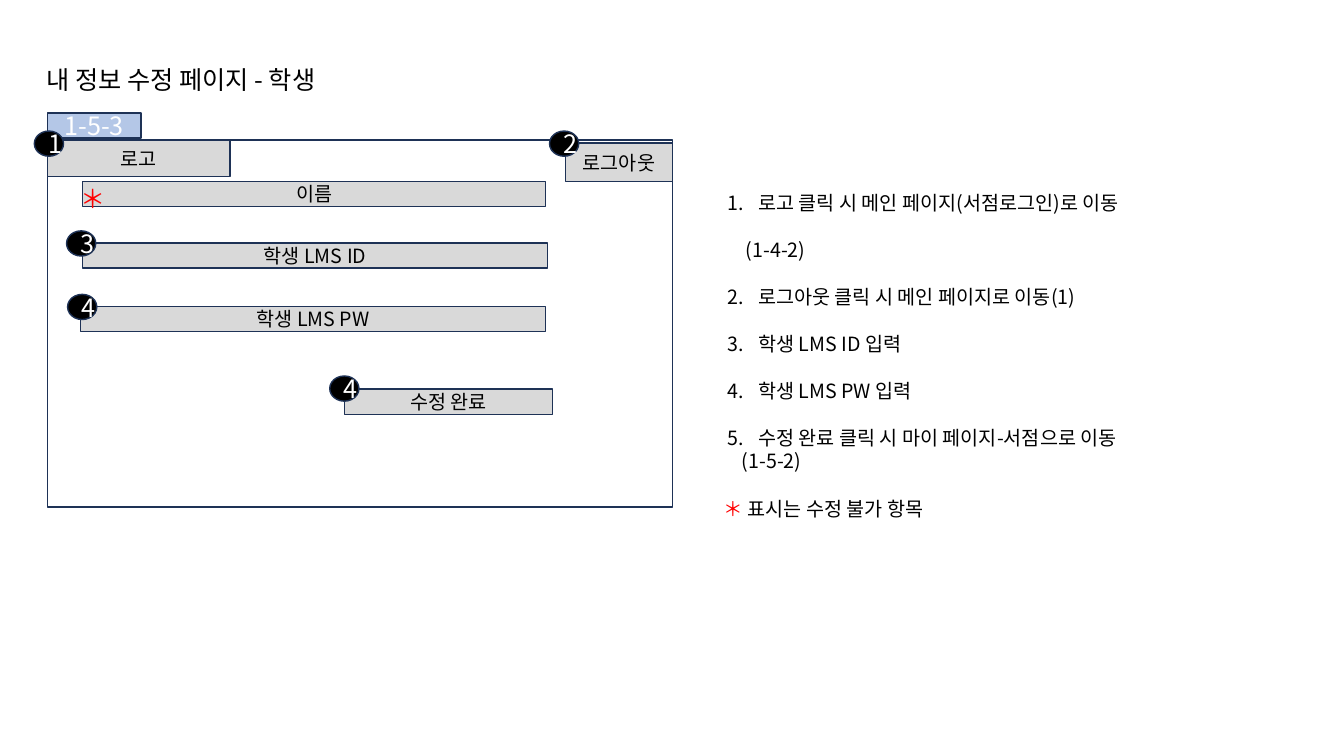
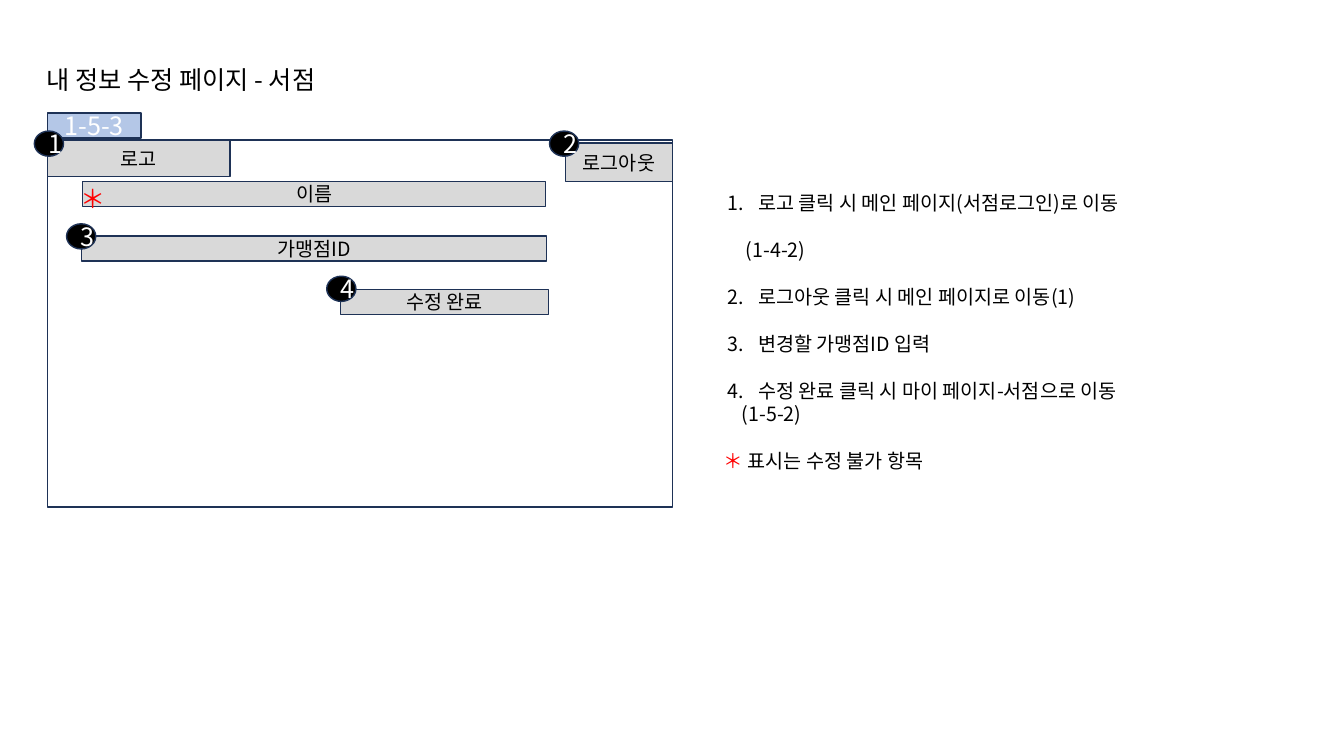
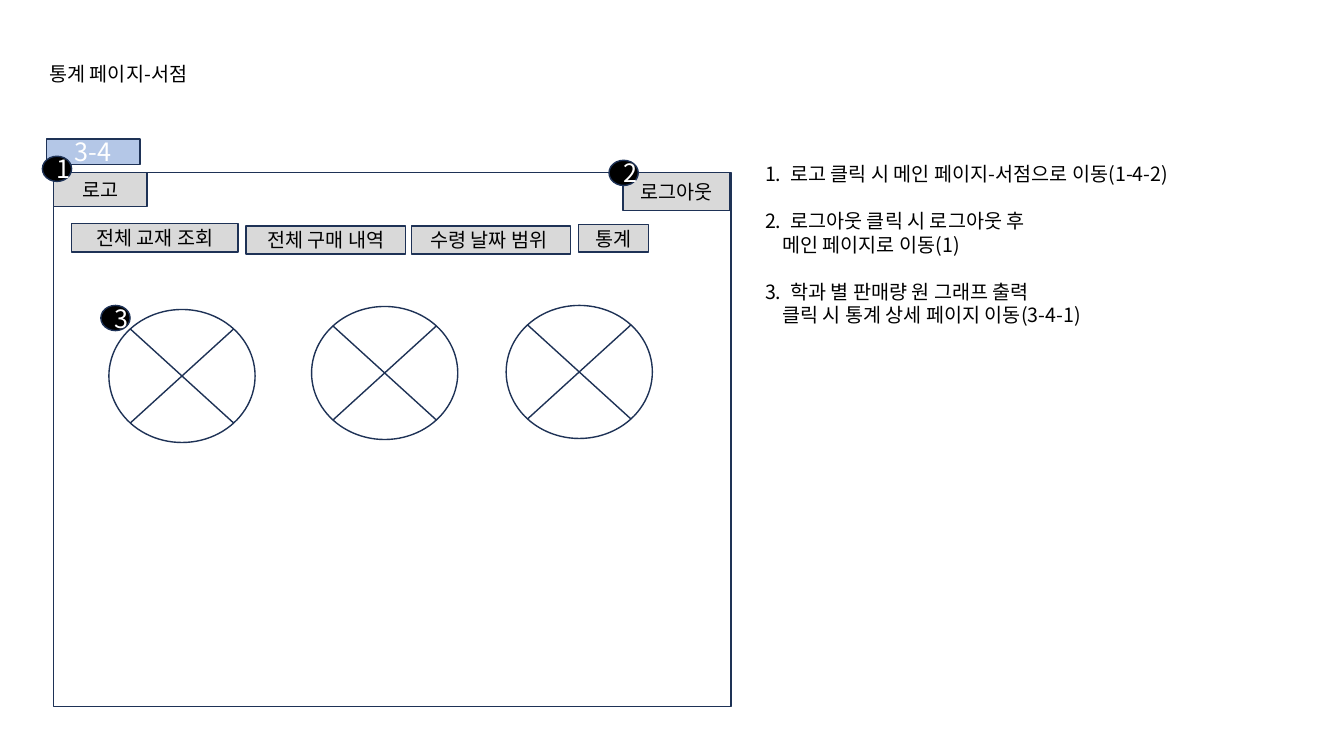
from dataclasses import dataclass

from pptx import Presentation
from pptx.dml.color import RGBColor
from pptx.enum.shapes import MSO_SHAPE
from pptx.enum.text import MSO_ANCHOR, MSO_AUTO_SIZE, PP_ALIGN
from pptx.util import Inches, Pt

RECT, OVAL = MSO_SHAPE.RECTANGLE, MSO_SHAPE.OVAL
PIE = MSO_SHAPE.FLOWCHART_SUMMING_JUNCTION
TOP, MIDDLE = MSO_ANCHOR.TOP, MSO_ANCHOR.MIDDLE
LEFT, CENTER = PP_ALIGN.LEFT, PP_ALIGN.CENTER
NO_FIT = MSO_AUTO_SIZE.NONE

# Shared look
FONT = "Noto Sans CJK KR"
BLACK, WHITE, RED = "000000", "FFFFFF", "FF0000"
NAVY, GRAY, TAB_BLUE = "1E3256", "D9D9D9", "B4C7E7"
BODY, LARGE = 14, 18
LEADING = 1.2
BADGE_SIZE = (0.29, 0.25)
MARK = "＊"


@dataclass
class Area:
    x: float
    y: float
    w: float
    h: float


@dataclass
class Box:
    text: str
    area: Area
    badge: str = ""
    shift: tuple[float, float] = (-0.15, -0.12)
    kind: MSO_SHAPE = RECT
    fill: str = GRAY


@dataclass
class Step:
    text: str
    margin: float
    hang: float = 0
    gap: bool = True
    mark: str = ""


@dataclass
class Page:
    title: str
    title_area: Area
    title_size: int
    frame: Area
    tab: Box
    boxes: list[Box]
    steps: list[Step]
    guide_area: Area
    guide_top: float = 0.05
    starred: bool = False


def rgb(color: str) -> RGBColor:
    return RGBColor.from_string(color)


def inches(area: Area) -> tuple:
    return Inches(area.x), Inches(area.y), Inches(area.w), Inches(area.h)


def add_run(p, text: str, size: float, color: str) -> None:
    r = p.add_run()
    r.text = text
    for name, value in {"name": FONT, "size": Pt(size), "bold": False}.items():
        setattr(r.font, name, value)
    r.font.color.rgb = rgb(color)
    # East Asian text takes the same font
    rPr = r._r.get_or_add_rPr()
    ea = rPr.makeelement(
        "{http://schemas.openxmlformats.org/drawingml/2006/main}ea", {"typeface": FONT})
    rPr.find("{*}latin").addnext(ea)


def format_paragraph(p, size: float, align=LEFT, before: float = 0) -> None:
    values = {"alignment": align, "line_spacing": Pt(size * LEADING),
              "space_before": Pt(before), "space_after": Pt(0)}
    for name, value in values.items():
        setattr(p, name, value)


def format_frame(tf, wrap: bool = True, anchor=TOP, top: float = 0.05) -> None:
    values = {"word_wrap": wrap, "vertical_anchor": anchor,
              "auto_size": NO_FIT, "margin_top": Inches(top)}
    for name, value in values.items():
        setattr(tf, name, value)


def write_line(tf, text: str, size: float, color: str, align=LEFT) -> None:
    p = tf.paragraphs[0]
    format_paragraph(p, size, align)
    add_run(p, text, size, color)


def add_box(s, kind, area: Area, fill: str, text: str = "",
            size: float = BODY, color: str = BLACK) -> None:
    sp = s.shapes.add_shape(kind, *inches(area))
    sp.shadow.inherit = False
    sp.fill.solid()
    sp.fill.fore_color.rgb = rgb(fill)
    sp.line.color.rgb = rgb(NAVY)
    sp.line.width = Pt(1)
    format_frame(sp.text_frame, anchor=MIDDLE)
    if text:
        write_line(sp.text_frame, text, size, color, CENTER)


def add_title(s, page: Page) -> None:
    sp = s.shapes.title
    sp.left, sp.top, sp.width, sp.height = inches(page.title_area)
    format_frame(sp.text_frame)
    write_line(sp.text_frame, page.title, page.title_size, BLACK)


def add_guide(s, page: Page) -> None:
    tf = s.shapes.add_textbox(*inches(page.guide_area)).text_frame
    format_frame(tf, top=page.guide_top)
    for i, step in enumerate(page.steps):
        p = tf.add_paragraph() if i else tf.paragraphs[0]
        before = BODY * LEADING if i and step.gap else 0
        format_paragraph(p, BODY, before=before)
        pPr = p._p.get_or_add_pPr()
        pPr.set("marL", str(Inches(step.margin)))
        pPr.set("indent", str(-Inches(step.hang)))
        if step.mark:
            add_run(p, step.mark, BODY, RED)
        add_run(p, step.text, BODY, BLACK)


def add_star(s) -> None:
    tf = s.shapes.add_textbox(*inches(Area(0.7, 1.77, 0.45, 0.4))).text_frame
    format_frame(tf, wrap=False)
    write_line(tf, MARK, LARGE, RED)


def build_page(prs, page: Page) -> None:
    s = prs.slides.add_slide(prs.slide_layouts[5])
    add_title(s, page)
    add_box(s, RECT, page.frame, WHITE)
    add_box(s, RECT, page.tab.area, TAB_BLUE, page.tab.text, LARGE, WHITE)
    for box in page.boxes:
        add_box(s, box.kind, box.area, box.fill, box.text)
    add_guide(s, page)
    if page.starred:
        add_star(s)
    # Numbered badges sit on the top left corner of their boxes
    for box in page.boxes:
        if box.badge:
            dx, dy = box.shift
            area = Area(box.area.x + dx, box.area.y + dy, *BADGE_SIZE)
            add_box(s, OVAL, area, BLACK, box.badge, LARGE, WHITE)


def form_step(number: int, text: str) -> Step:
    return Step(f"{number}.\t{text}", 0.34, 0.3)


def form_page(who: str, fields: list[Box], inputs: list[str], guide_height: float) -> Page:
    """Edit page: the two user types differ only in their fields."""
    shared = [
        Box("로고", Area(0.47, 1.39, 1.81, 0.36), "1", (-0.13, -0.09)),
        Box("로그아웃", Area(5.61, 1.42, 1.06, 0.38), "2", (-0.16, -0.12)),
        Box("이름", Area(0.82, 1.8, 4.59, 0.25)),
    ]
    actions = ["로그아웃 클릭 시 메인 페이지로 이동(1)", *inputs,
               "수정 완료 클릭 시 마이 페이지-서점으로 이동"]
    steps = [
        form_step(1, "로고 클릭 시 메인 페이지(서점로그인)로 이동"),
        Step("(1-4-2)", 0.22),
        *[form_step(n, action) for n, action in enumerate(actions, 2)],
        Step("(1-5-2)", 0.18, gap=False),
        Step(" 표시는 수정 불가 항목", 0, mark=MARK),
    ]
    return Page(f"내 정보 수정 페이지 - {who}", Area(0.36, 0.59, 3.63, 0.4), LARGE,
                Area(0.47, 1.39, 6.2, 3.64), Box("1-5-3", Area(0.47, 1.12, 0.93, 0.25)),
                shared + fields, steps, Area(7.08, 1.37, 4.93, guide_height),
                guide_top=0.52, starred=True)


def stats_page() -> Page:
    boxes = [
        Box("로고", Area(0.53, 1.71, 0.93, 0.34), "1", (-0.11, -0.16)),
        Box("로그아웃", Area(6.18, 1.71, 1.06, 0.38), "2", (-0.14, -0.12)),
        Box("전체 교재 조회", Area(0.71, 2.22, 1.65, 0.28)),
        Box("전체 구매 내역", Area(2.44, 2.24, 1.58, 0.28)),
        Box("수령 날짜 범위 ", Area(4.08, 2.24, 1.58, 0.28)),
        Box("통계", Area(5.74, 2.23, 0.69, 0.27)),
    ]
    pies = [(1.08, 3.07, "3"), (3.09, 3.04, ""), (5.02, 3.03, "")]
    boxes += [Box("", Area(x, y, 1.45, 1.32), badge, (-0.08, -0.04), PIE, WHITE)
              for x, y, badge in pies]
    actions = [
        ("로고 클릭 시 메인 페이지-서점으로 이동(1-4-2)", ""),
        ("로그아웃 클릭 시 로그아웃 후", "메인 페이지로 이동(1)"),
        ("학과 별 판매량 원 그래프 출력", "클릭 시 통계 상세 페이지 이동(3-4-1)"),
    ]
    steps = []
    for n, (first, second) in enumerate(actions, 1):
        steps.append(Step(f"{n}.\t{first}", 0.29, 0.25))
        if second:
            steps.append(Step(second, 0.21, gap=False))
    return Page("통계 페이지-서점", Area(0.39, 0.56, 6.72, 0.34), BODY,
                Area(0.53, 1.71, 6.72, 5.3), Box("3-4", Area(0.46, 1.38, 0.93, 0.25)),
                boxes, steps, Area(7.45, 1.56, 4.64, 1.75))


def main() -> None:
    prs = Presentation()
    prs.slide_width, prs.slide_height = Inches(13.33), Inches(7.5)
    student_fields = [
        Box("학생 LMS ID", Area(0.82, 2.41, 4.61, 0.25), "3", (-0.16, -0.12)),
        Box("학생 LMS PW", Area(0.8, 3.04, 4.61, 0.25), "4", (-0.13, -0.12)),
        Box("수정 완료", Area(3.42, 3.86, 2.06, 0.25), "4", (-0.15, -0.13)),
    ]
    store_fields = [
        Box("가맹점ID", Area(0.81, 2.34, 4.61, 0.25), "3"),
        Box("수정 완료", Area(3.38, 2.87, 2.06, 0.25), "4", (-0.14, -0.13)),
    ]
    pages = [
        form_page("학생", student_fields, ["학생 LMS ID 입력", "학생 LMS PW 입력"], 4.11),
        form_page("서점", store_fields, ["변경할 가맹점ID 입력"], 3.64),
        stats_page(),
    ]
    for page in pages:
        build_page(prs, page)
    prs.save("out.pptx")


if __name__ == "__main__":
    main()
